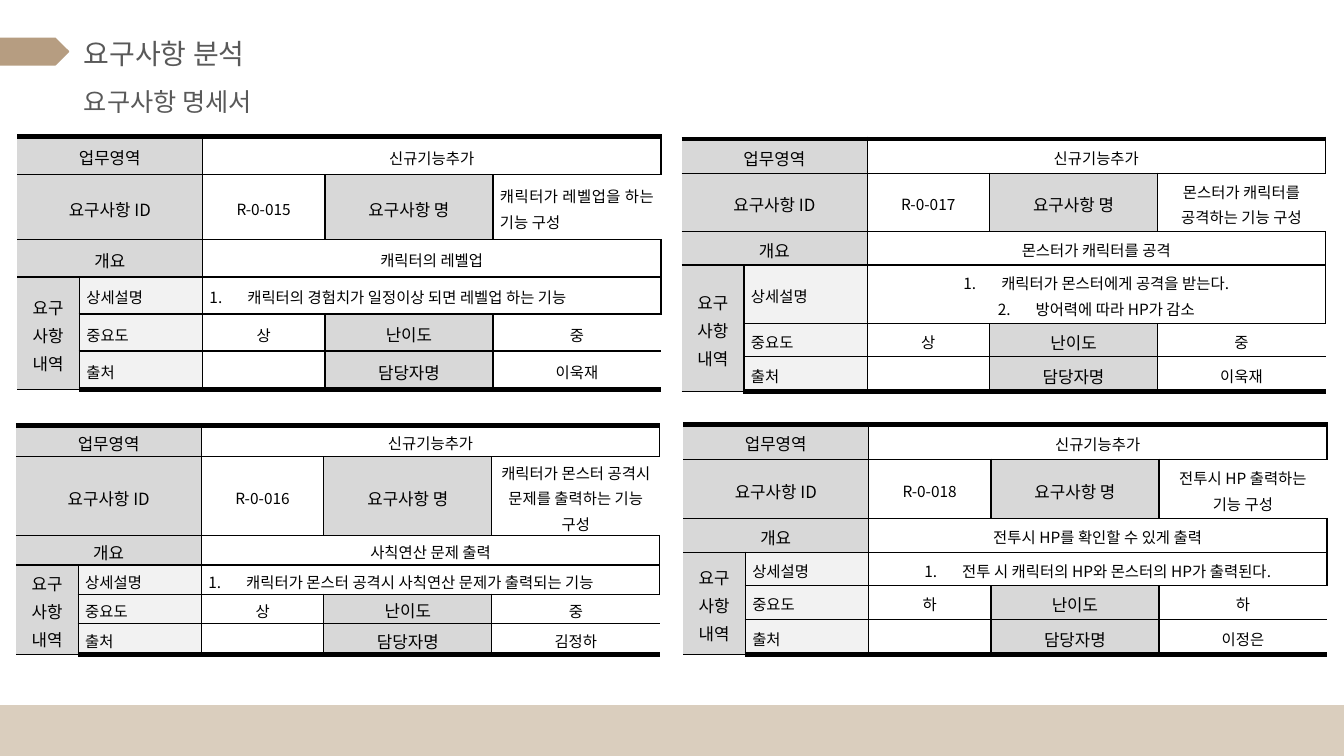
from pptx import Presentation
from pptx.util import Pt
from pptx.dml.color import RGBColor
from pptx.enum.shapes import MSO_SHAPE
from pptx.enum.text import MSO_ANCHOR, MSO_AUTO_SIZE, PP_ALIGN
from pptx.oxml.ns import qn
from lxml.etree import SubElement

FONT = "Noto Sans CJK KR"
LEFT, MID, JUST = PP_ALIGN.LEFT, PP_ALIGN.CENTER, PP_ALIGN.JUSTIFY
DARK, PALE = "D8D8D8", "F2F2F2"


def color(code):
    return RGBColor.from_string(code)


def write(para, text, size, code, align):
    para.alignment = align
    for i, line in enumerate(text.split("\n")):
        if i:
            para.add_line_break()
        run = para.add_run()
        run.text = line
        run.font.name = FONT
        run.font.size = Pt(size)
        run.font.bold = False
        run.font.color.rgb = color(code)
        SubElement(run.font._element, qn("a:ea"), typeface=FONT)


deck = Presentation()
deck.slide_width, deck.slide_height = Pt(960), Pt(540)
slide = deck.slides.add_slide(deck.slide_layouts[5])
shapes = slide.shapes

# Background with a white sheet behind everything
slide.background.fill.solid()
slide.background.fill.fore_color.rgb = color("DACEBE")
sheet = shapes.add_shape(MSO_SHAPE.RECTANGLE, 0, 0, Pt(960), Pt(503.5))
sheet.shadow.inherit = False
sheet.fill.solid()
sheet.fill.fore_color.rgb = color("FFFFFF")
sheet.line.fill.background()
shapes._spTree.insert(2, sheet._element)

# Title, subtitle and marker
title = shapes.title
title.left, title.top, title.width, title.height = Pt(52.5), Pt(22.3), Pt(153.5), Pt(31.5)
sub = shapes.add_textbox(Pt(2.9), Pt(58.3), Pt(234), Pt(29))
for box, text, size, align in ((title, "요구사항 분석", 20, LEFT),
                               (sub, "요구사항 명세서", 18, MID)):
    frame = box.text_frame
    frame.word_wrap = True
    frame.auto_size = MSO_AUTO_SIZE.SHAPE_TO_FIT_TEXT
    frame.vertical_anchor = MSO_ANCHOR.TOP
    write(frame.paragraphs[0], text, size, "595959", align)

mark = shapes.add_shape(MSO_SHAPE.PENTAGON, 0, Pt(27.4), Pt(49), Pt(18.9))
mark.shadow.inherit = False
mark.fill.solid()
mark.fill.fore_color.rgb = color("B69D81")
mark.line.color.rgb = color("B69D81")
mark.line.width = Pt(1)

# Requirement cards: left, top, row heights, id, name, summary, details,
# weight, difficulty, owner, alignment of name and of details
cards = [
    (486.9, 99.3, (24.4, 41.9, 23.7, 41.9, 23.7, 24.8), "R-0-017",
     ["몬스터가 캐릭터를 공격하는 기능 구성"], "몬스터가 캐릭터를 공격",
     ["캐릭터가 몬스터에게 공격을 받는다.", "방어력에 따라 HP가 감소"],
     "상", "중", "이욱재", MID, MID),
    (11.4, 304, (22.3, 56.4, 20.9, 20.9, 20.9, 22.3), "R-0-016",
     ["캐릭터가 몬스터 공격시 문제를 출력하는 기능 구성"], "사칙연산 문제 출력",
     ["캐릭터가 몬스터 공격시 사칙연산 문제가 출력되는 기능"],
     "상", "중", "김정하", MID, JUST),
    (487.9, 303.1, (25, 42.3, 24, 24, 24, 25.2), "R-0-018",
     ["전투시 HP 출력하는", "기능 구성"], "전투시 HP를 확인할 수 있게 출력",
     ["전투 시 캐릭터의 HP와 몬스터의 HP가 출력된다."],
     "하", "하", "이정은", MID, MID),
    (12.2, 97.6, (27.2, 46.6, 26.5, 26.5, 26.5, 27.4), "R-0-015",
     ["캐릭터가 레벨업을 하는 기능 구성"], "캐릭터의 레벨업",
     ["캐릭터의 경험치가 일정이상 되면 레벨업 하는 기능"],
     "상", "중", "이욱재", JUST, JUST),
]
widths = (44.5, 88, 87.5, 120, 120)
spans = [(0, 0, 0, 1), (0, 2, 0, 4), (1, 0, 1, 1), (2, 0, 2, 1),
         (2, 2, 2, 4), (3, 0, 5, 0), (3, 2, 3, 4)]
heads = {(0, 0): "업무영역", (1, 0): "요구사항 ID", (1, 3): "요구사항 명",
         (2, 0): "개요", (3, 0): "요구\n사항\n내역", (4, 3): "난이도",
         (5, 3): "담당자명"}
labels = {(3, 1): "상세설명", (4, 1): "중요도", (5, 1): "출처"}

for left, top, rows, code, name, brief, steps, weight, level, owner, side, flow in cards:
    grid = shapes.add_table(6, 5, Pt(left), Pt(top), Pt(sum(widths)), Pt(sum(rows))).table
    grid.first_row = grid.horz_banding = False
    for col, width in zip(grid.columns, widths):
        col.width = Pt(width)
    for row, height in zip(grid.rows, rows):
        row.height = Pt(height)
    for r1, c1, r2, c2 in spans:
        grid.cell(r1, c1).merge(grid.cell(r2, c2))

    # Text, size, alignment and fill of each filled cell
    parts = {key: ([text], 12, MID, DARK) for key, text in heads.items()}
    parts.update({key: ([text], 11, LEFT, PALE) for key, text in labels.items()})
    values = {(0, 2): (["신규기능추가"], MID), (1, 2): ([code], MID),
              (1, 4): (name, side), (2, 2): ([brief], MID), (3, 2): (steps, flow),
              (4, 2): ([weight], MID), (4, 4): ([level], MID), (5, 4): ([owner], MID)}
    parts.update({key: (text, 11, align, None) for key, (text, align) in values.items()})

    for r in range(6):
        for c in range(5):
            cell = grid.cell(r, c)
            cell.margin_left = cell.margin_right = Pt(5)
            cell.margin_top = cell.margin_bottom = 0
            cell.vertical_anchor = MSO_ANCHOR.MIDDLE

            # Borders: open sides, thick top and bottom
            edges = {"a:lnL": 1 if c else 0, "a:lnR": 1 if c < 4 else 0,
                     "a:lnT": 1 if r else 3.75, "a:lnB": 1 if r < 5 else 3.75}
            for tag, width in edges.items():
                line = SubElement(cell._tc.get_or_add_tcPr(), qn(tag), w=str(Pt(width)))
                if width:
                    ink = SubElement(line, qn("a:solidFill"))
                    SubElement(ink, qn("a:srgbClr"), val="000000")
                else:
                    SubElement(line, qn("a:noFill"))

            lines, size, align, fill = parts.get((r, c), ([], 11, MID, None))
            if fill:
                cell.fill.solid()
                cell.fill.fore_color.rgb = color(fill)
            else:
                cell.fill.background()

            frame = cell.text_frame
            if not lines:
                SubElement(frame.paragraphs[0]._p, qn("a:endParaRPr"), sz="1100")
            for i, text in enumerate(lines):
                para = frame.add_paragraph() if i else frame.paragraphs[0]
                para.line_spacing = 1.15
                write(para, text, size, "000000", align)
                if (r, c) == (3, 2):
                    props = para._p.get_or_add_pPr()
                    props.set("marL", str(Pt(27)))
                    props.set("indent", str(Pt(-27)))
                    SubElement(props, qn("a:buFont"), typeface=FONT)
                    SubElement(props, qn("a:buAutoNum"), type="arabicPeriod")

deck.save("out.pptx")
